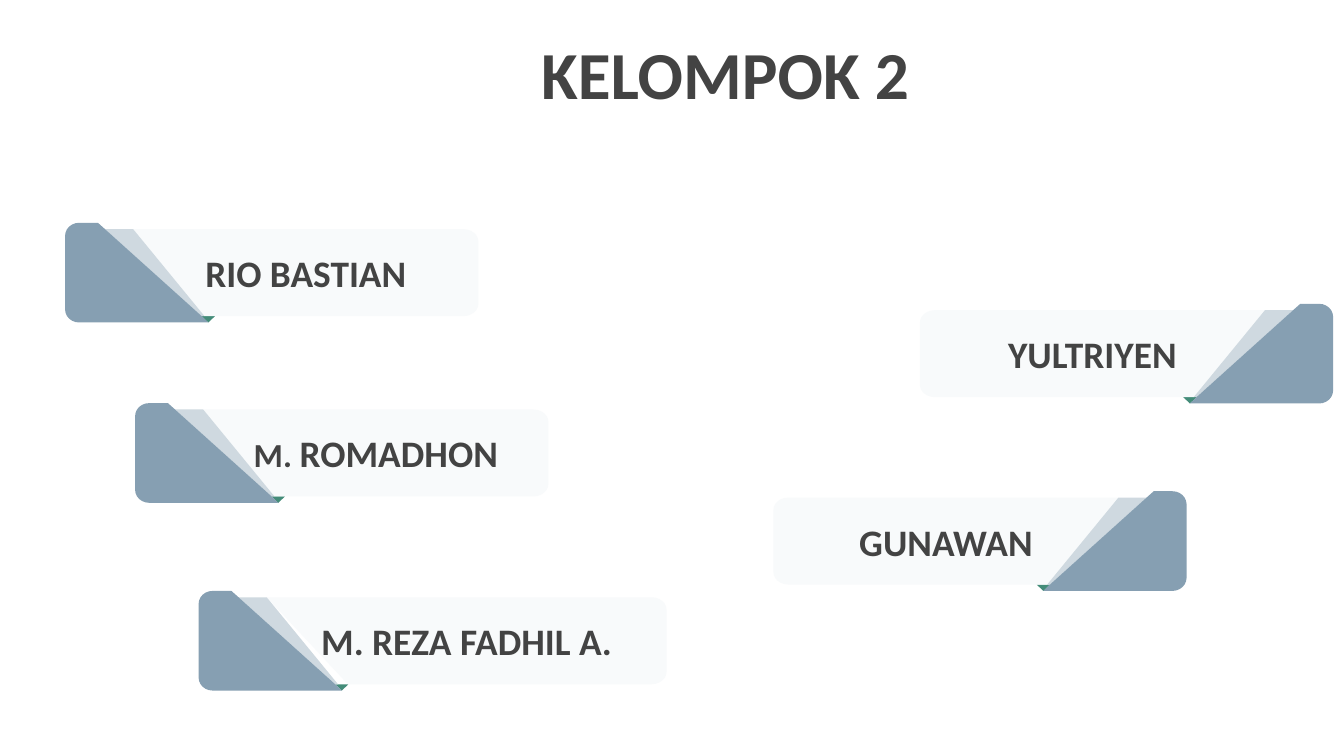
import math

import pptx
import pptx.util
import pptx.dml.color
import pptx.enum.text

Pt = pptx.util.Pt
ENUM = pptx.enum.text

COLORS = {"text": "434343", "green": "448C79", "panel": "F8FAFB",
          "light": "CFD9E0", "dark": "869FB2"}
FONT = "Calibri"
TITLE = "KELOMPOK 2"
# outer edge x, top y, direction, foot of the panel, length, runs
CARDS = [
    (34.9, 119.4, 1, 74.7, 221.4, [("RIO BASTIAN", 20)]),
    (72.4, 216, 1, 74.7, 221.4, [("M. ", 18), ("ROMADHON", 20)]),
    (106.4, 316.6, 1, 80, 250.7, [("M. REZA FADHIL A.", 20)]),
    (635.7, 263.2, -1, 74.7, 221.4, [("GUNAWAN", 20)]),
    (714.2, 162.8, -1, 74.7, 221.4, [("YULTRIYEN", 20)]),
]
HIGH, STEP = 53.4, 3.4     # tab height; panel inset at top and bottom
FOOT = HIGH - STEP


def rgb(name):
    return pptx.dml.color.RGBColor.from_string(COLORS[name])


def arc(x, y, rx, ry, start):
    """Points of a quarter ellipse, running counterclockwise on screen."""
    turns = [math.radians(start + 15 * i) for i in range(7)]
    return [(x + rx * math.cos(t), y - ry * math.sin(t)) for t in turns]


def write(frame, runs):
    frame.word_wrap = True
    frame.margin_left = frame.margin_right = Pt(7.2)
    frame.margin_top = frame.margin_bottom = Pt(7.2)
    para = frame.paragraphs[0]
    para.alignment = ENUM.PP_ALIGN.CENTER
    for text, size in runs:
        run = para.add_run()
        run.text = text
        run.font.name = FONT
        run.font.size = Pt(size)
        run.font.bold = True
        run.font.color.rgb = rgb("text")


def outlines(foot, end):
    """Card parts from back to front, measured from the outer top corner."""
    return [
        ("green", [(73.2, FOOT), (76.7, HIGH), (80.3, FOOT)]),
        ("panel", [(36.5, STEP), (foot, FOOT)]
         + arc(end - 8, FOOT - 6.8, 8, 6.8, 270)
         + arc(end - 8, STEP + 6.8, 8, 6.8, 0)),
        ("light", [(21.4, STEP), (73.2, FOOT), (74.7, FOOT), (36.5, STEP)]),
        ("dark", arc(7.5, 7, 7.5, 7, 90) + arc(7.5, HIGH - 7, 7.5, 7, 180)
         + [(76.7, HIGH), (73.2, FOOT), (21.4, STEP), (17.6, 0)]),
    ]


def draw(shapes, edge, top, way, foot, end, runs):
    group = shapes.add_group_shape()
    for name, points in outlines(foot, end):
        spots = [(Pt(edge + way * x), Pt(top + y)) for x, y in points]
        pen = group.shapes.build_freeform(*spots[0])
        pen.add_line_segments(spots[1:], close=True)
        part = pen.convert_to_shape()
        part.shadow.inherit = False
        part.fill.solid()
        part.fill.fore_color.rgb = rgb(name)
        part.line.fill.background()
        if name == "panel":
            part.text_frame.vertical_anchor = ENUM.MSO_ANCHOR.MIDDLE
            write(part.text_frame, runs)


def main():
    deck = pptx.Presentation()
    deck.slide_width, deck.slide_height = Pt(720), Pt(405)
    slide = deck.slides.add_slide(deck.slide_layouts[6])
    title = slide.shapes.add_textbox(Pt(243.4), Pt(10.1), Pt(290.2), Pt(52.6))
    write(title.text_frame, [(TITLE, 36)])
    for card in CARDS:
        draw(slide.shapes, *card)
    deck.save("out.pptx")


if __name__ == "__main__":
    main()
